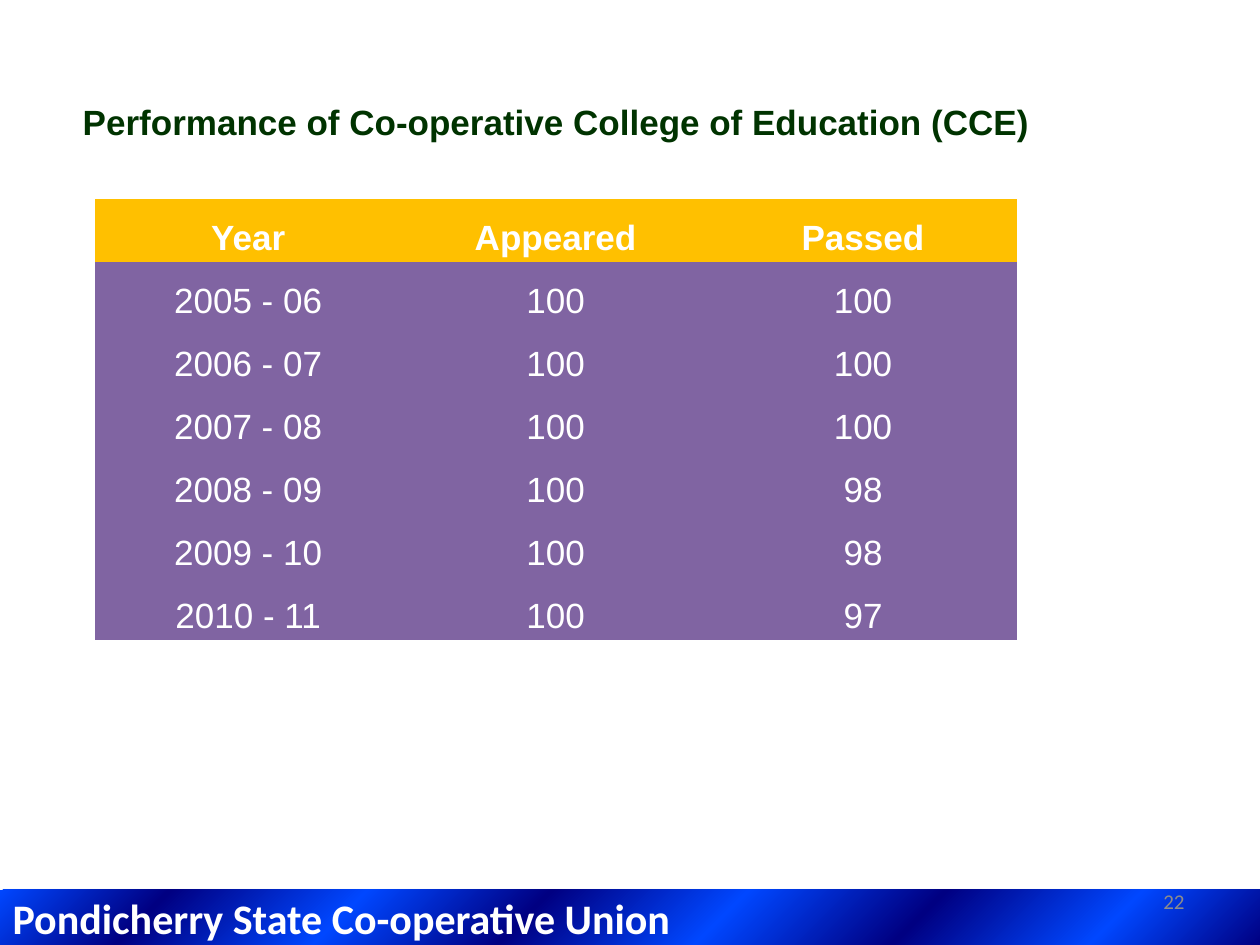
from lxml import etree
from pptx import Presentation
from pptx.dml.color import RGBColor
from pptx.enum.text import MSO_ANCHOR as Anchor, MSO_AUTO_SIZE as AutoSize, PP_ALIGN as Align
from pptx.oxml import parse_xml
from pptx.util import Inches, Pt

COLORS = {
    "white": "FFFFFF", "heading": "003300", "number": "8C8C8C",
    "header": "FFC000", "body": "8064A2", "navy": "000082", "blue": "0047FF",
}
DRAWING_NS = 'xmlns:a="http://schemas.openxmlformats.org/drawingml/2006/main"'
NO_GRID_STYLE = "{2D5ABB26-0587-4C30-8999-92F81FD0307C}"


def write(frame, text, font, size, color, align, bold=False):
    frame.text = text
    line = frame.paragraphs[0]
    line.alignment = align
    style = line.runs[0].font
    style.name, style.size, style.bold = font, Pt(size), bold
    style.color.rgb = RGBColor.from_string(COLORS[color])
    return line


prs = Presentation()
prs.slide_width, prs.slide_height = Inches(10), Inches(7.5)
slide = prs.slides.add_slide(prs.slide_layouts[5])

# Banner along the bottom edge
banner = slide.shapes.title
banner.left, banner.top = 0, Inches(7.06)
banner.width, banner.height = prs.slide_width, Inches(0.44)
banner.text_frame.auto_size = AutoSize.NONE
banner.text_frame.vertical_anchor = Anchor.MIDDLE
write(banner.text_frame, "Pondicherry State Co-operative Union",
      "Calibri", 24, "white", Align.LEFT, bold=True)

# Alternating navy and blue gradient with a soft shadow
stops = "".join(
    f'<a:gs pos="{share * 1000}"><a:srgbClr val="{COLORS[("navy", "blue")[i % 2]]}"/></a:gs>'
    for i, share in enumerate((0, 13, 28, 43, 58, 72, 87, 100)))
banner_pr = banner.element.spPr
banner_pr.append(parse_xml(
    f'<a:prstGeom {DRAWING_NS} prst="rect"><a:avLst/></a:prstGeom>'))
banner_pr.append(parse_xml(
    f'<a:gradFill {DRAWING_NS} rotWithShape="1"><a:gsLst>{stops}</a:gsLst>'
    '<a:path path="circle"><a:fillToRect l="100000" t="100000"/></a:path>'
    '<a:tileRect r="-100000" b="-100000"/></a:gradFill>'))
banner_pr.append(parse_xml(
    f'<a:effectLst {DRAWING_NS}><a:outerShdw blurRad="{Pt(3.1)}" dist="{Pt(1.8)}" '
    'dir="5400000" rotWithShape="0"><a:srgbClr val="000000"><a:alpha val="35000"/>'
    '</a:srgbClr></a:outerShdw></a:effectLst>'))

# Slide number
number = slide.shapes.add_textbox(Inches(7.17), Inches(6.95), Inches(2.33), Inches(0.4))
number.text_frame.word_wrap = True
number.text_frame.vertical_anchor = Anchor.MIDDLE
write(number.text_frame, "22", "Calibri", 12, "number", Align.RIGHT)

# Results table
results = [
    ("Year", "Appeared", "Passed"),
    ("2005 - 06", "100", "100"),
    ("2006 - 07", "100", "100"),
    ("2007 - 08", "100", "100"),
    ("2008 - 09", "100", "98"),
    ("2009 - 10", "100", "98"),
    ("2010 - 11", "100", "97"),
]
row_height = Inches(0.46)
table = slide.shapes.add_table(
    len(results), len(results[0]), Inches(0.75), Inches(1.58),
    Inches(7.32), row_height * len(results)).table
table.first_row = table.horz_banding = False
table._tbl.tblPr.find("{*}tableStyleId").text = NO_GRID_STYLE
for r, record in enumerate(results):
    table.rows[r].height = row_height
    for c, value in enumerate(record):
        cell = table.cell(r, c)
        cell.margin_left = cell.margin_right = Inches(0.07)
        cell.margin_top = cell.margin_bottom = 0
        cell.fill.solid()
        cell.fill.fore_color.rgb = RGBColor.from_string(COLORS["body" if r else "header"])
        entry = write(cell.text_frame, value, "Arial", 20, "white", Align.CENTER, bold=r == 0)
        entry.line_spacing = 1.5

# Heading above the table
heading = slide.shapes.add_textbox(Inches(0.33), Inches(0.75), Inches(8.17), Inches(0.44))
heading.text_frame.word_wrap = True
heading.text_frame.auto_size = AutoSize.SHAPE_TO_FIT_TEXT
write(heading.text_frame, "Performance of Co-operative College of Education (CCE)",
      "Arial", 20, "heading", Align.CENTER, bold=True)

prs.save("out.pptx")
